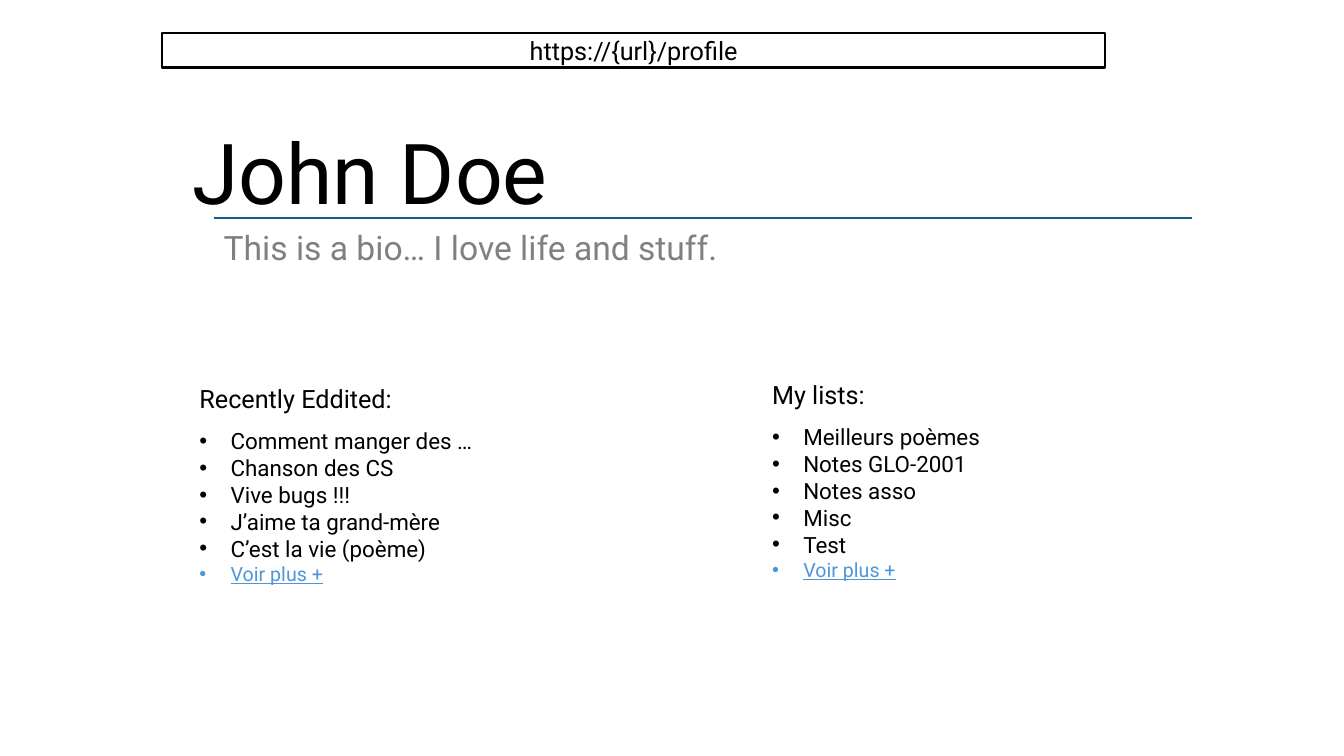
import pptx
import pptx.util
import pptx.dml.color
import pptx.enum.shapes
import pptx.enum.text
import pptx.oxml.ns
import lxml.etree

Inches, Pt = pptx.util.Inches, pptx.util.Pt
ALIGN, ANCHOR = pptx.enum.text.PP_ALIGN, pptx.enum.text.MSO_ANCHOR

# Content
ADDRESS = "https://{url}/profile"
NAME = "John Doe"
BIO = "This is a bio… I love life and stuff."
MORE = "Voir plus +"
LISTS = [
    (1.88, 3.75, "Recently Eddited:",
     ["Comment manger des …", "Chanson des CS", "Vive bugs !!!",
      "J’aime ta grand-mère", "C’est la vie (poème)"]),
    (7.56, 3.71, "My lists:",
     ["Meilleurs poèmes", "Notes GLO-2001", "Notes asso", "Misc", "Test"]),
]

# Style
FONT = "Roboto"
BLACK, WHITE, GRAY, TEAL, BLUE = "000000", "FFFFFF", "808080", "156082", "4E95D9"
LIST_WIDTH, HEADING_HEIGHT, LIST_OFFSET, LIST_HEIGHT = 3.03, 0.4, 0.44, 1.97
BULLET_INDENT = 0.31


def color(value):
    return pptx.dml.color.RGBColor.from_string(value)


def add_span(para, text, size, ink=BLACK, underline=None):
    span = para.add_run()
    span.text = text
    span.font.name = FONT
    span.font.size = Pt(size)
    span.font.color.rgb = color(ink)
    span.font.underline = underline


def add_box(left, top, width, height, anchor=ANCHOR.TOP):
    box = page.shapes.add_textbox(Inches(left), Inches(top), Inches(width), Inches(height))
    box.text_frame.word_wrap = True
    box.text_frame.vertical_anchor = anchor
    return box.text_frame


def add_bullet(para):
    props = para._p.get_or_add_pPr()
    props.set("marL", str(Inches(BULLET_INDENT)))
    props.set("indent", str(-Inches(BULLET_INDENT)))
    font = lxml.etree.SubElement(props, pptx.oxml.ns.qn("a:buFont"))
    font.set("typeface", "Arial")
    bullet = lxml.etree.SubElement(props, pptx.oxml.ns.qn("a:buChar"))
    bullet.set("char", "•")


deck = pptx.Presentation()
deck.slide_width, deck.slide_height = Inches(13.33), Inches(7.5)
page = deck.slides.add_slide(deck.slide_layouts[6])

# Name and bio
para = add_box(1.67, 1.23, 4, 1.03, ANCHOR.BOTTOM).paragraphs[0]
para.alignment = ALIGN.CENTER
para.line_spacing = 0.9
add_span(para, NAME, 60)

para = add_box(2.12, 2.25, 5.44, 1.03).paragraphs[0]
para.line_spacing = 0.9
para.space_before = Pt(10)
add_span(para, BIO, 24, GRAY)

# Rule under the name
rule = page.shapes.add_connector(
    pptx.enum.shapes.MSO_CONNECTOR.STRAIGHT,
    Inches(2.12), Inches(2.16), Inches(11.82), Inches(2.16))
rule.line.color.rgb = color(TEAL)
rule.line.width = Pt(1.5)
lxml.etree.SubElement(rule._element.spPr, pptx.oxml.ns.qn("a:effectLst"))

# Headed lists, each ending in a "more" entry
for left, top, heading, entries in LISTS:
    frame = add_box(left, top, LIST_WIDTH, HEADING_HEIGHT)
    add_span(frame.paragraphs[0], heading, 18)
    frame = add_box(left, top + LIST_OFFSET, LIST_WIDTH, LIST_HEIGHT)
    for number, entry in enumerate(entries + [MORE]):
        para = frame.add_paragraph() if number else frame.paragraphs[0]
        add_bullet(para)
        if entry == MORE:
            add_span(para, entry, 14, BLUE, underline=True)
        else:
            add_span(para, entry, 16)

# Address bar
bar = page.shapes.add_shape(
    pptx.enum.shapes.MSO_SHAPE.RECTANGLE,
    Inches(1.61), Inches(0.33), Inches(9.35), Inches(0.34))
bar.shadow.inherit = False
bar.fill.solid()
bar.fill.fore_color.rgb = color(WHITE)
bar.line.color.rgb = color(BLACK)
bar.line.width = Pt(1.5)
bar.text_frame.word_wrap = True
bar.text_frame.vertical_anchor = ANCHOR.MIDDLE
para = bar.text_frame.paragraphs[0]
para.alignment = ALIGN.CENTER
add_span(para, ADDRESS, 18)

deck.save("out.pptx")
